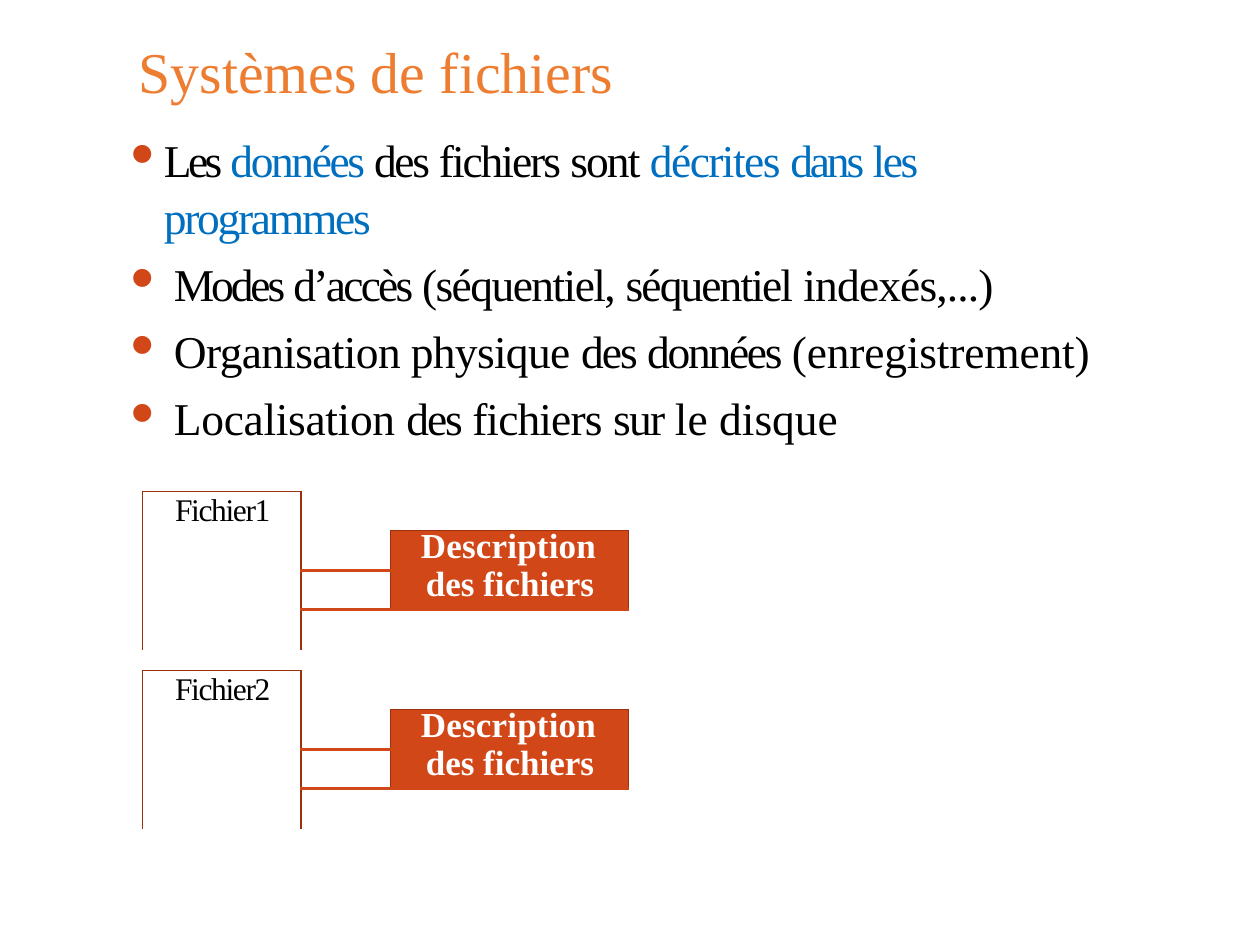
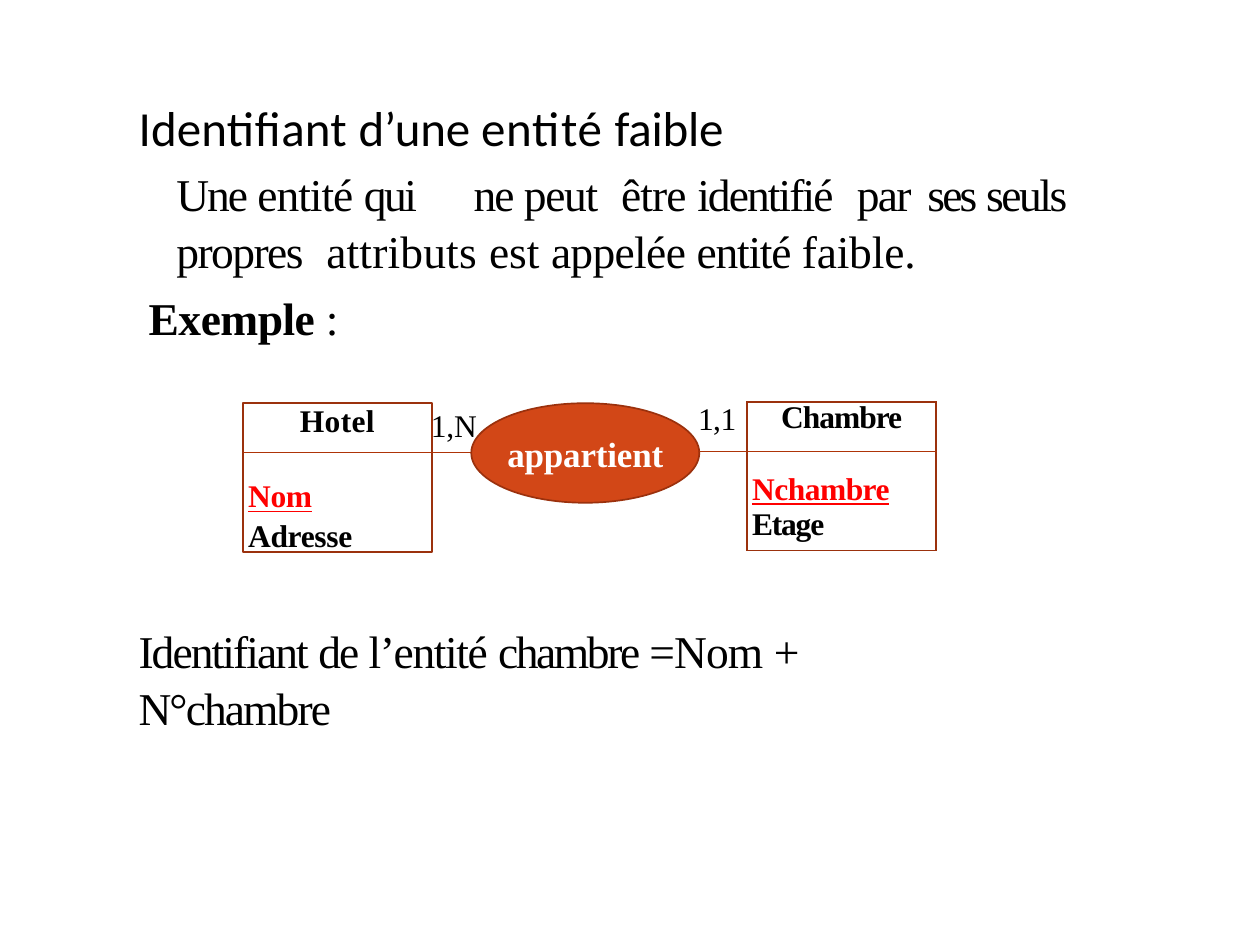
from lxml import etree
from pptx import Presentation
from pptx.dml.color import RGBColor
from pptx.enum import shapes, text
from pptx.oxml.ns import qn
from pptx.util import Inches, Pt

BLACK = RGBColor(0x00, 0x00, 0x00)
WHITE = RGBColor(0xFF, 0xFF, 0xFF)
ORANGE = RGBColor(0xED, 0x7D, 0x31)
RUST = RGBColor(0xD2, 0x47, 0x17)
BROWN = RGBColor(0x9B, 0x31, 0x0D)
LINK_BROWN = RGBColor(0xAE, 0x34, 0x08)
BLUE = RGBColor(0x00, 0x6F, 0xC0)
RED = RGBColor(0xFF, 0x00, 0x00)
SERIF = "Times New Roman"
BODY_LEADING = 1.04
NO_STYLE = "{2D5ABB26-0587-4C30-8999-92F81FD0307C}"
THIN, THICK = (BROWN, 1), (RUST, 2.25)
LINK = (LINK_BROWN, 0.75)


def write(paragraph, pieces, size, color=BLACK, bold=False, font=SERIF,
          indent=0, before=0, leading=BODY_LEADING, underline=False):
    """Fill a paragraph with (words, letter spacing[, colour or bold]) pieces."""
    for words, spacing, *extra in pieces:
        run = paragraph.add_run()
        run.text = words
        run.font.name, run.font.size = font, Pt(size)
        run.font.bold = True in extra or bold
        run.font.underline = underline
        run.font.color.rgb = next(
            (e for e in extra if isinstance(e, RGBColor)), color)
        run._r.get_or_add_rPr().set("spc", str(round(spacing * 100)))
    paragraph._p.get_or_add_pPr().set("marL", str(Inches(indent)))
    paragraph.alignment = text.PP_ALIGN.LEFT
    paragraph.line_spacing = leading
    paragraph.space_before = Pt(before)


def set_margins(frame, top=0):
    frame.margin_left = frame.margin_right = frame.margin_bottom = 0
    frame.margin_top = Inches(top)


def add_text_area(slide, box, top=0.01):
    frame = slide.shapes.add_textbox(*map(Inches, box)).text_frame
    frame.word_wrap = True
    set_margins(frame, top)
    return frame


def add_title(slide, box, pieces, size, color, font):
    title = slide.shapes.title
    title.left, title.top, title.width, title.height = map(Inches, box)
    frame = title.text_frame
    set_margins(frame, 0.02)
    frame.auto_size = text.MSO_AUTO_SIZE.NONE
    frame.vertical_anchor = text.MSO_ANCHOR.MIDDLE
    write(frame.paragraphs[0], pieces, size, color, font=font, indent=0.01)


def add_detail(parent, tag, **attributes):
    return etree.SubElement(parent, qn(tag), **attributes)


def add_bullet(paragraph, hanging):
    props = paragraph._p.get_or_add_pPr()
    props.set("indent", str(-Inches(hanging)))
    add_detail(add_detail(props, "a:buClr"), "a:srgbClr", val=str(RUST))
    add_detail(props, "a:buSzPct", val="85000")
    add_detail(props, "a:buChar", char="⚫")


def add_tabs(paragraph, stops):
    tab_list = add_detail(paragraph._p.get_or_add_pPr(), "a:tabLst")
    for stop in stops:
        add_detail(tab_list, "a:tab", pos=str(Inches(stop)), algn="l")


def set_borders(cell, **edges):
    """Draw the named edges (L, R, T, B), each a (colour, width) pair."""
    props = cell._tc.get_or_add_tcPr()
    lines = []
    for side in "LRTB":
        if side in edges:
            color, width = edges[side]
            line = etree.Element(qn(f"a:ln{side}"), w=str(Pt(width)))
            fill = add_detail(line, "a:solidFill")
            add_detail(fill, "a:srgbClr", val=str(color))
            lines.append(line)
    for position, line in enumerate(lines):
        props.insert(position, line)


def add_plain_table(slide, left, top, widths, heights):
    table = slide.shapes.add_table(
        len(heights), len(widths), Inches(left), Inches(top),
        Inches(sum(widths)), Inches(sum(heights))).table
    table.first_row = table.horz_banding = False
    table._tbl.tblPr.find(qn("a:tableStyleId")).text = NO_STYLE
    for column, width in zip(table.columns, widths):
        column.width = Inches(width)
    for row, height in zip(table.rows, heights):
        row.height = Inches(height)
    for cell in table.iter_cells():
        cell.fill.background()
        set_margins(cell)
    return table


def add_file_diagram(slide, left, top, file_name):
    """File box joined by two lines to its description box."""
    table = add_plain_table(slide, left, top, [1.26, 0.71, 1.89],
                            [0.31, 0.32, 0.31, 0.32])
    file_box, description = table.cell(0, 0), table.cell(1, 2)
    file_box.merge(table.cell(3, 0))
    description.merge(table.cell(2, 2))
    for row in (0, 3):
        table.cell(row, 1).merge(table.cell(row, 2))
    for row in range(4):
        outer = {0: {"T": THIN}, 3: {"B": THIN}}.get(row, {})
        set_borders(table.cell(row, 0), L=THIN, R=THIN, **outer)
    set_borders(table.cell(1, 1), L=THIN, R=THIN, B=THICK)
    set_borders(table.cell(2, 1), L=THIN, R=THIN, T=THICK, B=THICK)
    set_borders(description, L=THIN, R=THIN, T=THIN, B=THICK)
    set_borders(table.cell(2, 2), L=THIN, R=THIN, B=THICK)
    for column in (1, 2):
        set_borders(table.cell(3, column), T=THICK)
    description.fill.solid()
    description.fill.fore_color.rgb = RUST

    write(file_box.text_frame.paragraphs[0], [(file_name, -0.8)], 18,
          indent=0.26, leading=Pt(21.2))
    frame = description.text_frame
    write(frame.paragraphs[0], [("Description", 0.1)], 20, WHITE, True,
          indent=0.24, leading=Pt(20.1))
    write(frame.add_paragraph(), [("des fichiers", 0)], 20, WHITE, True,
          indent=0.28, leading=1.0)


FILE_POINTS = [
    [("Les ", -2), ("données ", -1.4, BLUE), ("des ", -1.4),
     ("fichiers ", -1.2), ("sont ", -1.1), ("décrites ", -0.9, BLUE),
     ("dans ", -1.8, BLUE), ("les ", -1.4, BLUE), ("programmes", -1.3, BLUE)],
    [("Modes ", -1.8), ("d’accès ", -1.6), ("(séquentiel, ", -0.9),
     ("séquentiel", -1.1), (" indexés,...)", -0.5)],
    [("Organisation ", -0.4), ("physique ", -0.4), ("des ", -1.2),
     ("données ", -1.3), ("(enregistrement)", -0.1)],
    [("Localisation ", -0.2), ("des ", -1.2), ("fichiers ", -0.5),
     ("sur ", -1), ("le disque", 0)],
]


def build_file_systems(slide):
    add_title(slide, (1.09, 0.25, 5.24, 0.57), [("Systèmes de fichiers", 0)],
              33, ORANGE, SERIF)
    frame = add_text_area(slide, (0.99, 0.9, 7.99, 2.1), 0.13)
    for number, pieces in enumerate(FILE_POINTS):
        paragraph = frame.add_paragraph() if number else frame.paragraphs[0]
        add_bullet(paragraph, 0.38 if number else 0.3)
        write(paragraph, pieces, 26, indent=0.39 if number else 0.31,
              before=6 if number else 0)
    for number in range(2):
        add_file_diagram(slide, 1.13, 3.9 + 1.42 * number,
                         f"Fichier{number + 1}")


def style_outline(shape, color, width):
    shape.line.color.rgb = color
    shape.line.width = Pt(width)


def add_hotel(slide, left, top):
    outline = slide.shapes.add_shape(
        shapes.MSO_SHAPE.RECTANGLE, *map(Inches, (left, top, 1.5, 1.18)))
    outline.shadow.inherit = False
    outline.fill.background()
    style_outline(outline, BROWN, 0.96)
    name = add_text_area(slide, (left + 0.01, top - 0.05, 1.48, 0.33), 0.02)
    write(name.paragraphs[0], [("Hotel", 0.2)], 18, bold=True, indent=0.44)


def add_relation(slide, left, top):
    """Ellipse with its link across the hotel box and its cardinality."""
    ellipse = slide.shapes.add_shape(
        shapes.MSO_SHAPE.OVAL, *map(Inches, (left, top, 1.81, 0.79)))
    ellipse.shadow.inherit = False
    ellipse.fill.solid()
    ellipse.fill.fore_color.rgb = RUST
    style_outline(ellipse, BROWN, 0.96)
    frame = ellipse.text_frame
    frame.word_wrap = False
    set_margins(frame)
    frame.vertical_anchor = text.MSO_ANCHOR.MIDDLE
    write(frame.paragraphs[0], [("appartient", -0.1)], 20, WHITE, True)
    frame.paragraphs[0].alignment = text.PP_ALIGN.CENTER

    link_y = Inches(top + 0.39)
    link = slide.shapes.add_connector(
        shapes.MSO_CONNECTOR.STRAIGHT, Inches(left - 1.81), link_y,
        Inches(left), link_y)
    add_detail(link._element.spPr, "a:effectLst")
    style_outline(link, LINK_BROWN, 0.72)
    cardinality = add_text_area(
        slide, (left - 0.33, top - 0.01, 0.38, 0.33), 0.02)
    cardinality.word_wrap = False
    write(cardinality.paragraphs[0], [("1,N", -0.1)], 18, indent=0.01)


def add_room(slide, left, top):
    table = add_plain_table(slide, left, top, [0.39, 1.5], [0.39, 0.79])
    cardinality, name = table.cell(0, 0), table.cell(0, 1)
    attributes = table.cell(1, 1)
    set_borders(cardinality, R=THIN, B=LINK)
    set_borders(name, L=THIN, R=THIN, T=THIN, B=LINK)
    set_borders(table.cell(1, 0), R=THIN, T=LINK)
    set_borders(attributes, L=THIN, R=THIN, T=LINK, B=THIN)
    write(cardinality.text_frame.paragraphs[0], [("1,1", -0.3)], 18,
          leading=1.0)
    write(name.text_frame.paragraphs[0], [("Chambre", -0.6)], 18, bold=True,
          indent=0.27, leading=Pt(19))
    set_margins(attributes, 0.17)
    frame = attributes.text_frame
    write(frame.paragraphs[0], [("Nchambre", -0.3)], 18, RED, True,
          indent=0.04, leading=1.0, underline=True)
    write(frame.add_paragraph(), [("Etage", -0.7)], 18, bold=True,
          indent=0.04, leading=1.0)


def add_definition(slide, box):
    frame = add_text_area(slide, box)
    definition = frame.paragraphs[0]
    add_tabs(definition, [2.36, 3.53, 5.4, 5.96])
    write(definition, [
        ("Une ", -1.2), ("entité ", -0.6), ("qui\t", -1.4), ("ne ", -1.2),
        ("peut\t", -0.8), ("être ", -0.5), ("identifié\t", -1.1),
        ("par\t", -1), ("ses ", -1.6), ("seuls ", -1.4), ("propres", -0.9),
        (" ", 6.5), ("attributs ", 0.1), ("est ", 0), ("appelée ", -0.4),
        ("entité ", -0.7), ("faible.", -0.1)], 26, indent=0.23)
    write(frame.add_paragraph(), [("Exemple ", -0.3, True), (":", 0.3)], 26,
          indent=0.01, before=6)


def add_identifier(slide, box):
    """Hotel attributes, then the identifier of the weak entity below."""
    frame = add_text_area(slide, box, 0.02)
    write(frame.paragraphs[0], [("Nom", -0.2)], 18, RED, True, indent=0.88,
          underline=True)
    write(frame.add_paragraph(), [("Adresse", -0.2)], 18, bold=True,
          indent=0.88)
    write(frame.add_paragraph(), [
        ("Identifiant ", -1.1), ("de ", -1.2), ("l’entité ", -0.8),
        ("chambre ", -1.4), ("=Nom ", -0.5), ("+ ", 2.6),
        ("N°chambre", -1.1)], 26, indent=0.01, before=38.5)


def build_weak_entity(slide):
    add_title(slide, (1.09, 0.74, 4.9, 0.5),
              [("Identifiant ", 0.1), ("d’une ", -0.1), ("entité ", 0.4),
               ("faible", -0.1)], 28, BLACK, "Calibri")
    add_definition(slide, (1.17, 1.29, 8.25, 1.41))
    add_hotel(slide, 1.93, 3.2)
    add_identifier(slide, (1.09, 3.75, 6.8, 1.54))
    add_relation(slide, 3.74, 3.2)
    add_room(slide, 5.54, 3.19)


def main():
    deck = Presentation()
    deck.slide_width, deck.slide_height = Inches(10), Inches(7.5)
    title_only = deck.slide_layouts[5]
    for build in (build_file_systems, build_weak_entity):
        build(deck.slides.add_slide(title_only))
    deck.save("out.pptx")


if __name__ == "__main__":
    main()
